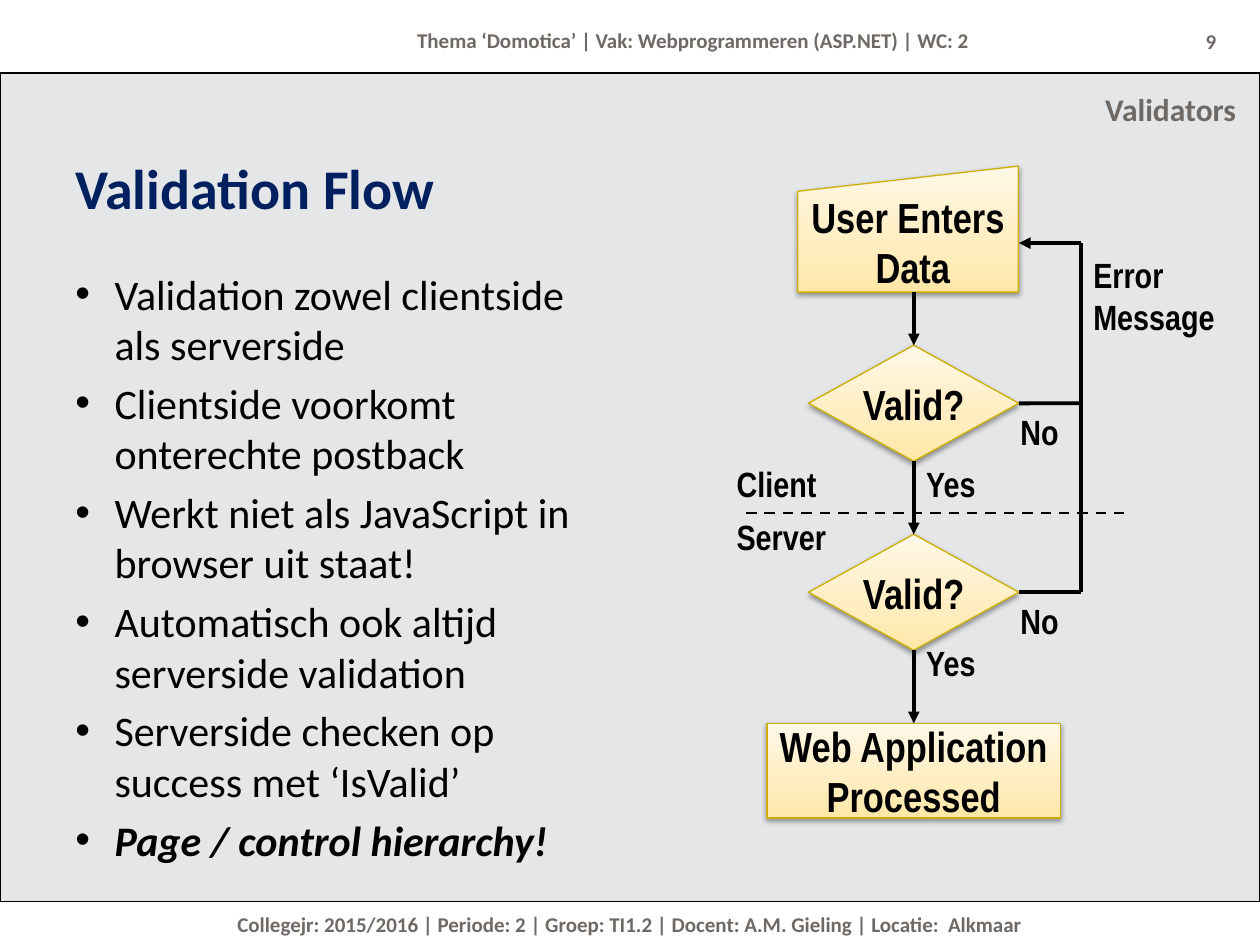
from lxml.etree import SubElement
from pptx import Presentation
from pptx.dml.color import RGBColor
from pptx.enum.dml import MSO_LINE as Dash
from pptx.enum.shapes import MSO_CONNECTOR as Link, MSO_SHAPE as Form
from pptx.enum.text import MSO_ANCHOR as Anchor, MSO_AUTO_SIZE as Fit, PP_ALIGN as Align
from pptx.oxml.ns import qn
from pptx.util import Cm, Pt

COLORS = {
    "panel": "E5E6E8", "black": "000000", "grey": "6E6964", "navy": "002060",
    "gold": "CCAE05", "deep": "FFE7A5", "middle": "FFEDBF", "pale": "FFF8E7",
}
GRADIENT = [(0, "deep"), (35, "middle"), (100, "pale")]
TOP, BOTTOM, RIGHT = 0, 2, 3


def color(name):
    return RGBColor.from_string(COLORS[name])


class FlowSlide:
    body_font = "Calibri"
    flow_font = "Arial Narrow"

    def __init__(self, deck):
        self.page = deck.slides.add_slide(deck.slide_layouts[6])

    def add_spans(self, para, text, size, font, tint="black", bold=True, italic=False):
        for index, line in enumerate(text.split("\n")):
            if index:
                para.add_line_break()
            span = para.add_run()
            span.text = line
            span.font.size = Pt(size)
            span.font.name = font
            span.font.bold = bold
            span.font.italic = italic
            span.font.color.rgb = color(tint)

    def frame(self, left, top, width, height):
        box = self.page.shapes.add_textbox(Cm(left), Cm(top), Cm(width), Cm(height))
        box.text_frame.word_wrap = True
        return box.text_frame

    def text(self, place, text, size, tint, align=Align.LEFT, anchor=Anchor.TOP):
        frame = self.frame(*place)
        frame.vertical_anchor = anchor
        para = frame.paragraphs[0]
        para.alignment = align
        self.add_spans(para, text, size, self.body_font, tint)

    def label(self, place, text):
        frame = self.frame(*place)
        frame.word_wrap = False
        frame.auto_size = Fit.SHAPE_TO_FIT_TEXT
        self.add_spans(frame.paragraphs[0], text, 20, self.flow_font)

    def bullets(self, place, items):
        frame = self.frame(*place)
        for index, (text, strong) in enumerate(items):
            para = frame.add_paragraph() if index else frame.paragraphs[0]
            para.space_before = Pt(4.8)
            props = para._p.get_or_add_pPr()
            props.set("marL", str(Cm(0.79)))
            props.set("indent", str(Cm(-0.79)))
            SubElement(props, qn("a:buFont"), typeface="Arial")
            SubElement(props, qn("a:buChar"), char="•")
            self.add_spans(para, text, 24, self.body_font, bold=strong, italic=strong)

    def panel(self, left, top, width, height):
        shape = self.page.shapes.add_shape(
            Form.RECTANGLE, Cm(left), Cm(top), Cm(width), Cm(height))
        shape.shadow.inherit = False
        shape.fill.solid()
        shape.fill.fore_color.rgb = color("panel")
        shape.line.color.rgb = color("black")
        shape.line.width = Pt(0.75)

    def node(self, form, place, text):
        shape = self.page.shapes.add_shape(form, *map(Cm, place))
        shape.fill.gradient()
        shape.fill.gradient_angle = 90
        shape.line.color.rgb = color("gold")
        shape.line.width = Pt(0.75)
        shape.shadow.inherit = False
        props = shape._element.spPr
        stops = props.find(".//" + qn("a:gsLst"))
        stops.clear()
        for position, tint in GRADIENT:
            stop = SubElement(stops, qn("a:gs"), pos=str(position * 1000))
            SubElement(stop, qn("a:srgbClr"), val=COLORS[tint])
        shadow = SubElement(
            props.find(qn("a:effectLst")), qn("a:outerShdw"), blurRad=str(Pt(3.1)),
            dist=str(Pt(1.6)), dir="5400000", rotWithShape="0")
        shade = SubElement(shadow, qn("a:srgbClr"), val=COLORS["black"])
        SubElement(shade, qn("a:alpha"), val="38000")
        frame = shape.text_frame
        frame.word_wrap = False
        frame.vertical_anchor = Anchor.MIDDLE
        para = frame.paragraphs[0]
        para.alignment = Align.CENTER
        self.add_spans(para, text, 24, self.flow_font)
        return shape

    def line(self, start, end, begin=None, finish=None, arrow=False, dashed=False):
        link = self.page.shapes.add_connector(Link.STRAIGHT, *map(Cm, start + end))
        if begin:
            link.begin_connect(*begin)
        if finish:
            link.end_connect(*finish)
        link.line.color.rgb = color("black")
        link.line.width = Pt(1.5 if dashed else 2.25)
        if dashed:
            link.line.dash_style = Dash.DASH
        props = link._element.spPr
        if arrow:
            SubElement(props.find(qn("a:ln")), qn("a:tailEnd"), type="triangle")
        SubElement(props, qn("a:effectLst"))


def main():
    deck = Presentation()
    deck.slide_width, deck.slide_height = Cm(25.4), Cm(19.05)
    slide = FlowSlide(deck)

    slide.panel(0, 1.47, 25.4, 16.71)
    slide.text((0, 18.26, 25.4, 0.76),
               "Collegejr: 2015/2016 | Periode: 2 | Groep: TI1.2 | "
               "Docent: A.M. Gieling | Locatie:  Alkmaar", 12, "grey", Align.CENTER)
    slide.text((5.72, 0.43, 16.51, 0.76),
               "Thema ‘Domotica’ | Vak: Webprogrammeren (ASP.NET) | WC: 2",
               12, "grey", Align.CENTER)
    slide.text((1.27, 2.97, 11, 1.96), "Validation Flow", 32, "navy")
    slide.bullets((1.27, 5.28, 11, 12.7), [
        ("Validation zowel clientside als serverside", False),
        ("Clientside voorkomt onterechte postback", False),
        ("Werkt niet als JavaScript in browser uit staat!", False),
        ("Automatisch ook altijd serverside validation", False),
        ("Serverside checken op success met ‘IsValid’", False),
        ("Page / control hierarchy!", True),
    ])
    slide.text((23.5, 0.43, 1.27, 0.81), "9", 12, "grey", Align.RIGHT, Anchor.MIDDLE)
    slide.text((17.35, 1.7, 7.82, 1.07), "Validators", 18, "grey", Align.RIGHT)

    axis, edge, bus, entry = 18.42, 20.54, 21.79, 4.9
    client_top, server_top, process_top = 6.96, 10.77, 14.58
    client_mid, server_mid = client_top + 1.17, server_top + 1.17

    client, server = [
        slide.node(Form.FLOWCHART_DECISION, (axis - 2.12, top, 4.24, 2.34), "Valid?")
        for top in (client_top, server_top)]
    slide.node(Form.FLOWCHART_MANUAL_INPUT, (16.08, 3.35, 4.45, 2.54),
               "User Enters\n Data")
    process = slide.node(Form.FLOWCHART_PROCESS, (axis - 2.96, process_top, 5.92, 1.91),
                         "Web Application\nProcessed")

    slide.line((axis, 5.89), (axis, client_top), finish=(client, TOP), arrow=True)
    for upper, lower, start, end in (
            (client, server, client_top + 2.34, server_top),
            (server, process, server_top + 2.34, process_top)):
        slide.line((axis, start), (axis, end), (upper, BOTTOM), (lower, TOP), arrow=True)
    for decision, middle in ((client, client_mid), (server, server_mid)):
        slide.line((edge, middle), (bus, middle), begin=(decision, RIGHT))
    slide.line((bus, entry), (bus, server_mid))
    slide.line((bus, entry), (edge, entry), arrow=True)
    slide.line((15.04, 10.34), (22.66, 10.34), dashed=True)

    for place, text in (
            ((20.32, 8.15, 1.3, 1.09), "No"),
            ((20.32, 11.96, 1.3, 1.09), "No"),
            ((axis, 9.19, 1.55, 1.09), "Yes"),
            ((axis, 12.8, 1.55, 1.09), "Yes"),
            ((bus, 4.98, 2.95, 1.96), "Error \nMessage"),
            ((14.6, 9.19, 2.11, 1.09), "Client"),
            ((14.6, 10.26, 2.31, 1.09), "Server")):
        slide.label(place, text)

    deck.save("out.pptx")


if __name__ == "__main__":
    main()
